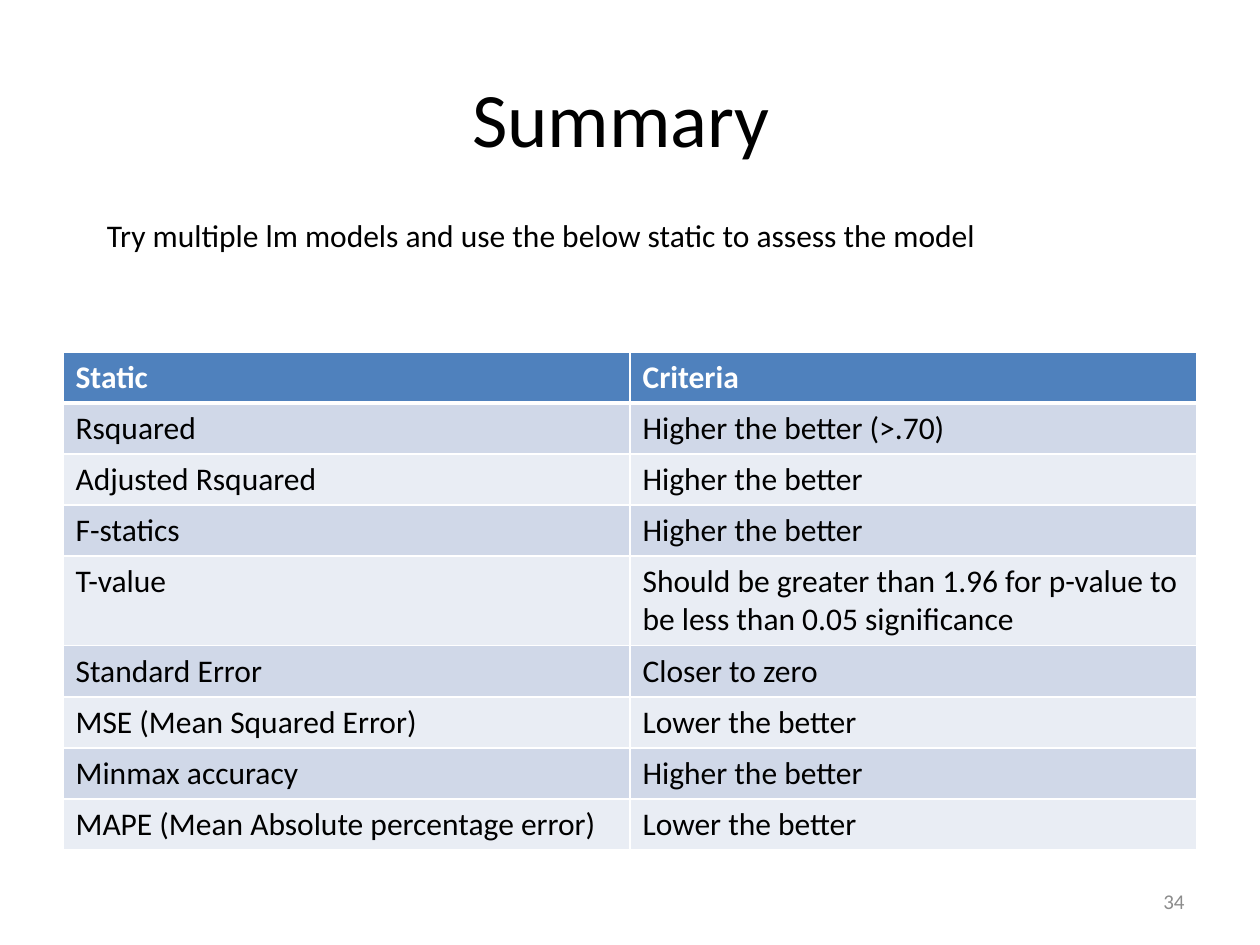
from dataclasses import dataclass

from lxml.etree import SubElement
from pptx import Presentation
from pptx.dml.color import RGBColor
from pptx.enum.text import MSO_ANCHOR as Anchor, PP_ALIGN as Align
from pptx.oxml.ns import qn
from pptx.util import Pt

FONT = "Calibri"
BLACK = RGBColor(0x00, 0x00, 0x00)
WHITE = RGBColor(0xFF, 0xFF, 0xFF)
GRAY = RGBColor(0x8C, 0x8C, 0x8C)
HEADER_BLUE = RGBColor(0x4F, 0x81, 0xBD)
BANDS = (RGBColor(0xD0, 0xD8, 0xE8), RGBColor(0xE9, 0xED, 0xF4))

TABLE_LEFT, TABLE_TOP = 36, 201
COLUMN_WIDTH, ROW_HEIGHT, TALL_ROW_HEIGHT = 324, 29.2, 51.2
TALL_ROW = 4


@dataclass
class Label:
    text: str
    left: float
    top: float
    width: float
    height: float
    size: float
    color: RGBColor = BLACK
    align: Align = Align.LEFT
    anchor: Anchor = Anchor.MIDDLE


LABELS = [
    Label("Summary ", 36, 21.6, 648, 90, 44, align=Align.CENTER),
    Label("Try multiple lm models and use the below static to assess the model",
          54, 120, 513.4, 29, 18, anchor=Anchor.TOP),
    Label("34", 516, 500.5, 168, 28.75, 12, GRAY, Align.RIGHT),
]

ROWS = [
    ("Static", "Criteria"),
    ("Rsquared", "Higher the better (>.70)"),
    ("Adjusted Rsquared", "Higher the better"),
    ("F-statics", "Higher the better"),
    ("T-value", "Should be greater than 1.96 for p-value to be less than 0.05 significance"),
    ("Standard Error", "Closer to zero"),
    ("MSE (Mean Squared Error)", "Lower the better"),
    ("Minmax accuracy", "Higher the better"),
    ("MAPE (Mean Absolute percentage error)", "Lower the better"),
]


def style_font(paragraph, size: float, color: RGBColor, bold: bool = False) -> None:
    font = paragraph.font
    font.name, font.size, font.bold = FONT, Pt(size), bold
    font.color.rgb = color


def add_label(slide, label: Label) -> None:
    shape = slide.shapes.add_textbox(
        Pt(label.left), Pt(label.top), Pt(label.width), Pt(label.height))
    frame = shape.text_frame
    frame.word_wrap = True
    frame.vertical_anchor = label.anchor
    paragraph = frame.paragraphs[0]
    paragraph.text = label.text
    paragraph.alignment = label.align
    style_font(paragraph, label.size, label.color)


def set_borders(cell, top: float, bottom: float) -> None:
    """Draw white borders; the side borders are always 1 pt."""
    properties = cell._tc.get_or_add_tcPr()
    for side, width in (("L", 1), ("R", 1), ("T", top), ("B", bottom)):
        line = SubElement(properties, qn(f"a:ln{side}"), w=str(Pt(width)))
        fill = SubElement(line, qn("a:solidFill"))
        SubElement(fill, qn("a:srgbClr"), val=str(WHITE))


def add_criteria_table(slide) -> None:
    heights = [TALL_ROW_HEIGHT if index == TALL_ROW else ROW_HEIGHT
               for index in range(len(ROWS))]
    table = slide.shapes.add_table(
        len(ROWS), 2, Pt(TABLE_LEFT), Pt(TABLE_TOP),
        Pt(2 * COLUMN_WIDTH), Pt(sum(heights))).table
    for column in table.columns:
        column.width = Pt(COLUMN_WIDTH)
    for index, texts in enumerate(ROWS):
        table.rows[index].height = Pt(heights[index])
        header = index == 0
        for position, text in enumerate(texts):
            cell = table.cell(index, position)
            # Borders come before the fill in the cell properties
            set_borders(cell, top=3 if index == 1 else 1, bottom=3 if header else 1)
            cell.fill.solid()
            cell.fill.fore_color.rgb = HEADER_BLUE if header else BANDS[(index - 1) % 2]
            paragraph = cell.text_frame.paragraphs[0]
            paragraph.text = text
            style_font(paragraph, 18, WHITE if header else BLACK, bold=header)


def main() -> None:
    presentation = Presentation()
    presentation.slide_width, presentation.slide_height = Pt(720), Pt(540)
    slide = presentation.slides.add_slide(presentation.slide_layouts[6])

    # Title, introduction and page number
    for label in LABELS:
        add_label(slide, label)

    # Statistics and their criteria
    add_criteria_table(slide)

    presentation.save("out.pptx")


if __name__ == "__main__":
    main()
